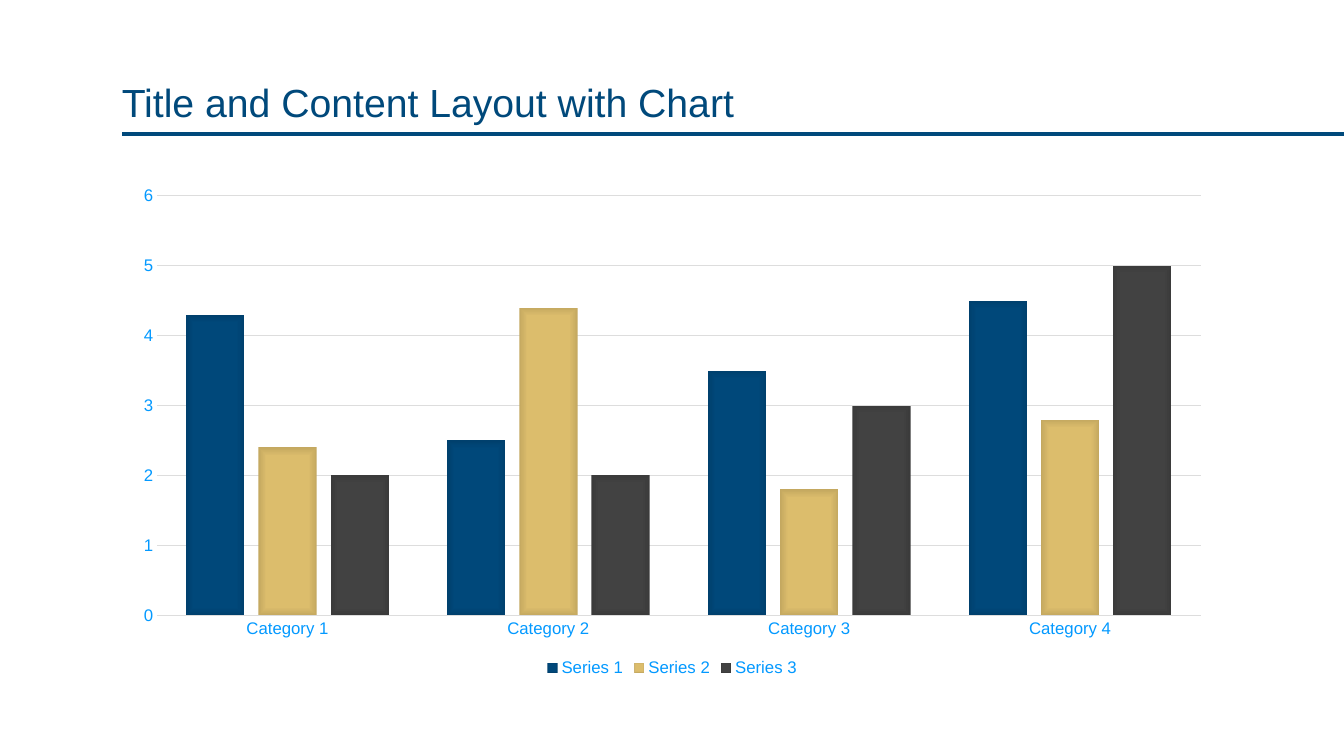
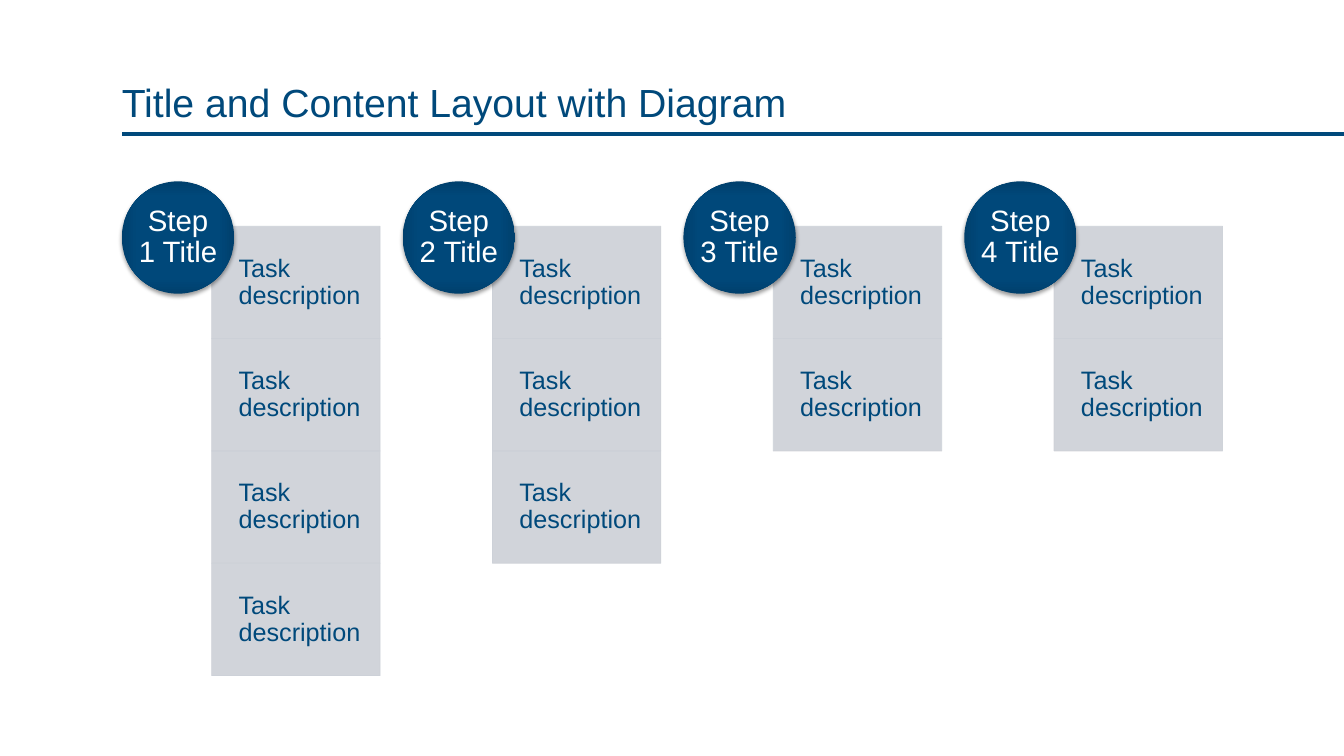
from dataclasses import dataclass
from typing import NamedTuple

from lxml.etree import SubElement
from pptx import Presentation
from pptx.chart.data import CategoryChartData
from pptx.dml.color import RGBColor
from pptx.enum.chart import XL_CHART_TYPE as ChartType
from pptx.enum.chart import XL_LEGEND_POSITION as LegendPosition
from pptx.enum.chart import XL_TICK_MARK as TickMark
from pptx.enum.shapes import MSO_CONNECTOR as Connector
from pptx.enum.shapes import MSO_SHAPE as Shape
from pptx.enum.text import MSO_ANCHOR as Anchor
from pptx.enum.text import PP_ALIGN as Align
from pptx.oxml.ns import qn
from pptx.util import Cm, Pt


@dataclass(frozen=True)
class Theme:
    font: str = "Arial"
    navy: str = "00497B"
    white: str = "FFFFFF"
    panel: str = "CCD0D7"
    label: str = "0399FF"
    grid: str = "DDDDDD"
    shadow: str = "000000"
    navy_shade: tuple = ("00497B", "00487A", "00406D")
    gold_shade: tuple = ("DEBF6D", "DCBD6C", "C4A860")
    charcoal_shade: tuple = ("434343", "424242", "3B3B3B")
    shade_stops: tuple = (0, 71, 100)
    title_size: float = 28
    step_size: float = 21
    task_size: float = 18
    chart_size: float = 12


class Box(NamedTuple):
    left: float
    top: float
    width: float
    height: float

    def lengths(self):
        return [Cm(part) for part in self]


THEME = Theme()
SLIDE_WIDTH, SLIDE_HEIGHT = 33.87, 19.05
TITLE_BOX = Box(3.07, 0.25, 27.74, 3.05)
CHART_BOX = Box(3.07, 4.45, 27.74, 12.7)
STEPS_BOX = Box(3.07, 4.57, 27.74, 12.45)
RULE_TOP = 3.38

CATEGORIES = [f"Category {number}" for number in range(1, 5)]
SERIES = [
    ("Series 1", (4.3, 2.5, 3.5, 4.5), THEME.navy_shade),
    ("Series 2", (2.4, 4.4, 1.8, 2.8), THEME.gold_shade),
    ("Series 3", (2, 2, 3, 5), THEME.charcoal_shade),
]
STEPS = [
    ("Step 1 Title", ["Task description"] * 4),
    ("Step 2 Title", ["Task description"] * 3),
    ("Step 3 Title", ["Task description"] * 2),
    ("Step 4 Title", ["Task description"] * 2),
]


def rgb(color):
    return RGBColor.from_string(color)


def style_font(font, size, color):
    font.name = THEME.font
    font.size = Pt(size)
    font.color.rgb = rgb(color)


def add_color(parent, color, alpha=None):
    node = SubElement(parent, qn("a:srgbClr"), val=color)
    if alpha is not None:
        SubElement(node, qn("a:alpha"), val=str(alpha * 1000))


def shade(fill, element, colors):
    fill.gradient()
    gradient = element.find(".//" + qn("a:gradFill"))
    for child in list(gradient):
        gradient.remove(child)
    stops = SubElement(gradient, qn("a:gsLst"))
    for position, color in zip(THEME.shade_stops, colors):
        add_color(SubElement(stops, qn("a:gs"), pos=str(position * 1000)), color)
    spread = SubElement(gradient, qn("a:path"), path="rect")
    SubElement(spread, qn("a:fillToRect"), dict.fromkeys("ltrb", "50000"))


def set_alpha(shape, percent):
    for color in shape._element.spPr.iter(qn("a:srgbClr")):
        SubElement(color, qn("a:alpha"), val=str(percent * 1000))


def drop_shadow(shape):
    effects = shape._element.spPr.find(qn("a:effectLst"))
    outer = SubElement(effects, qn("a:outerShdw"), blurRad=str(Pt(3.1)),
                       dist=str(Pt(2)), dir="5400000", rotWithShape="0")
    add_color(outer, THEME.shadow, 38)


def write(shape, text, size, color, align, anchor, insets):
    frame = shape.text_frame
    frame.word_wrap = True
    frame.vertical_anchor = anchor
    (frame.margin_left, frame.margin_top,
     frame.margin_right, frame.margin_bottom) = [Cm(inset) for inset in insets]
    paragraph = frame.paragraphs[0]
    paragraph.alignment = align
    paragraph.line_spacing = 0.9
    run = paragraph.add_run()
    run.text = text
    style_font(run.font, size, color)


def add_titled_slide(deck, text):
    slide = deck.slides.add_slide(deck.slide_layouts[6])
    slide.background.fill.solid()
    slide.background.fill.fore_color.rgb = rgb(THEME.white)
    rule = slide.shapes.add_connector(
        Connector.STRAIGHT, Cm(SLIDE_WIDTH), Cm(RULE_TOP), Cm(TITLE_BOX.left), Cm(RULE_TOP))
    rule.line.color.rgb = rgb(THEME.navy)
    rule.line.width = Pt(3)
    SubElement(rule._element.spPr, qn("a:effectLst"))
    title = slide.shapes.add_textbox(*TITLE_BOX.lengths())
    write(title, text, THEME.title_size, THEME.navy, Align.LEFT, Anchor.BOTTOM,
          (0, 0.13, 0, 0.13))
    return slide


def style_axis(axis):
    axis.major_tick_mark = axis.minor_tick_mark = TickMark.NONE
    style_font(axis.tick_labels.font, THEME.chart_size, THEME.label)


def add_column_chart(slide, box):
    data = CategoryChartData()
    data.categories = CATEGORIES
    for name, values, _ in SERIES:
        data.add_series(name, values)
    chart = slide.shapes.add_chart(ChartType.COLUMN_CLUSTERED, *box.lengths(), data).chart
    chart.has_title = False
    style_font(chart.font, THEME.chart_size, THEME.label)

    chart.has_legend = True
    chart.legend.position = LegendPosition.BOTTOM
    chart.legend.include_in_layout = False
    style_font(chart.legend.font, THEME.chart_size, THEME.label)

    category_axis, value_axis = chart.category_axis, chart.value_axis
    style_axis(category_axis)
    category_axis.format.line.color.rgb = rgb(THEME.grid)
    category_axis.format.line.width = Pt(1)
    style_axis(value_axis)
    value_axis.minimum_scale, value_axis.maximum_scale = 0, 6
    value_axis.major_unit = 1
    value_axis.format.line.fill.background()
    value_axis.has_major_gridlines = True
    gridline = value_axis.major_gridlines.format.line
    gridline.color.rgb = rgb(THEME.grid)
    gridline.width = Pt(0.75)

    plot = chart.plots[0]
    plot.vary_by_categories = False
    plot.gap_width, plot.overlap = 100, -24
    for series, (_, _, colors) in zip(plot.series, SERIES):
        series.invert_if_negative = False
        shade(series.format.fill, series._element, colors)


def add_task(slide, box, text):
    task = slide.shapes.add_shape(Shape.RECTANGLE, *box.lengths())
    task.shadow.inherit = False
    task.fill.solid()
    task.fill.fore_color.rgb = rgb(THEME.panel)
    task.line.color.rgb = rgb(THEME.panel)
    task.line.width = Pt(0.5)
    set_alpha(task, 90)
    write(task, text, THEME.task_size, THEME.navy, Align.LEFT, Anchor.MIDDLE,
          (0.16 * box.width, 0.36, 0.36, 0.36))


def add_step_badge(slide, box, text):
    badge = slide.shapes.add_shape(Shape.OVAL, *box.lengths())
    badge.shadow.inherit = False
    shade(badge.fill, badge._element.spPr, THEME.navy_shade)
    badge.line.fill.background()
    drop_shadow(badge)
    write(badge, text, THEME.step_size, THEME.white, Align.CENTER, Anchor.MIDDLE,
          (0, 0, 0, 0))


def add_steps(slide, box):
    pitch_ratio, column_ratio = 2.5, 2.3
    diameter = box.width / (pitch_ratio * (len(STEPS) - 1) + column_ratio)
    for column, (step, tasks) in enumerate(STEPS):
        left = box.left + column * pitch_ratio * diameter
        for row, task in enumerate(tasks):
            top = box.top + (0.4 + row) * diameter
            add_task(slide, Box(left + 0.8 * diameter, top, 1.5 * diameter, diameter), task)
        add_step_badge(slide, Box(left, box.top, diameter, diameter), step)


def main():
    deck = Presentation()
    deck.slide_width, deck.slide_height = Cm(SLIDE_WIDTH), Cm(SLIDE_HEIGHT)
    add_column_chart(add_titled_slide(deck, "Title and Content Layout with Chart"), CHART_BOX)
    add_steps(add_titled_slide(deck, "Title and Content Layout with Diagram"), STEPS_BOX)
    deck.save("out.pptx")


if __name__ == "__main__":
    main()
